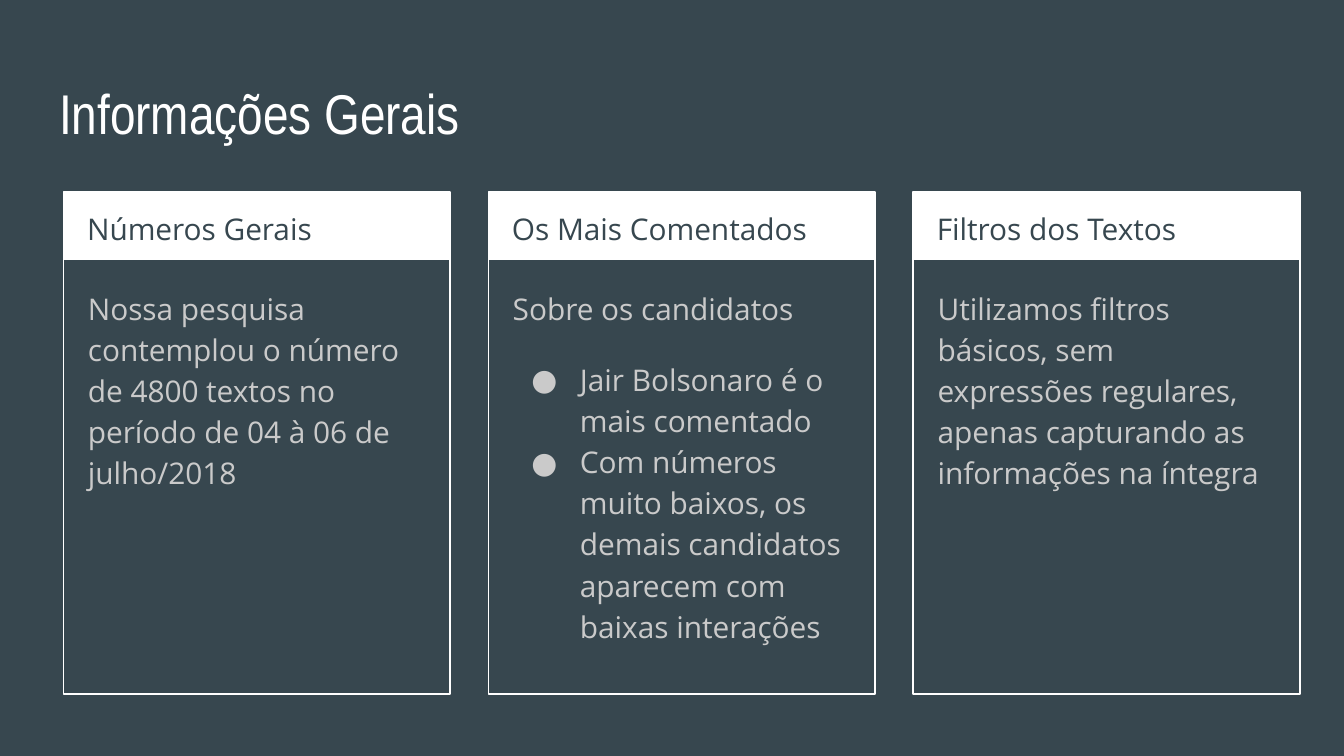
import pptx
import pptx.dml.color
import pptx.enum.shapes
import pptx.enum.text
import pptx.util
from lxml import etree

Pt = pptx.util.Pt
BACKGROUND, WHITE, BODY_GREY = "37474F", "FFFFFF", "CACACA"
CARD_LEFT, CARD_TOP, CARD_PITCH = 34, 102.8, 227.6
CARD_WIDTH, CARD_HEIGHT, HEADER_HEIGHT = 207.2, 269, 36.5

TITLE = {"name": "Arial Narrow", "size": Pt(30)}
CARD_TEXT = {"name": "Open Sans", "size": Pt(16)}
INTRO = {"line_spacing": 1.15, "space_after": Pt(16)}
PLAIN = {"line_spacing": 1.15, "space_after": Pt(0)}

CARDS = [
    ("Números Gerais",
     "Nossa pesquisa contemplou o número de 4800 textos no período de "
     "04 à 06 de julho/2018", []),
    ("Os Mais Comentados", "Sobre os candidatos",
     ["Jair Bolsonaro é o mais comentado",
      "Com números muito baixos, os demais candidatos aparecem com "
      "baixas interações"]),
    ("Filtros dos Textos",
     "Utilizamos filtros básicos, sem expressões regulares, apenas "
     "capturando as informações na íntegra", []),
]


def color(value):
    """Return the colour for a hex string."""
    return pptx.dml.color.RGBColor.from_string(value)


def set_values(target, values):
    """Set every attribute named in a dict."""
    for name, value in values.items():
        setattr(target, name, value)


def add_rectangle(slide, left, top, width, height, fill=None, line=None):
    """Add a rectangle with an optional fill and outline."""
    shape = slide.shapes.add_shape(
        pptx.enum.shapes.MSO_SHAPE.RECTANGLE,
        Pt(left), Pt(top), Pt(width), Pt(height))
    shape.shadow.inherit = False
    if fill:
        shape.fill.solid()
        shape.fill.fore_color.rgb = color(fill)
    else:
        shape.fill.background()
    if line:
        shape.line.color.rgb = color(line)
        shape.line.width = Pt(0.75)
    else:
        shape.line.fill.background()


def add_text_box(slide, left, top, width, height):
    """Add an empty wrapping text box and return its frame."""
    box = slide.shapes.add_textbox(Pt(left), Pt(top), Pt(width), Pt(height))
    frame = box.text_frame
    set_values(frame, {
        "word_wrap": True,
        "vertical_anchor": pptx.enum.text.MSO_ANCHOR.TOP,
        "margin_left": Pt(7.2), "margin_right": Pt(7.2),
        "margin_top": Pt(7.2), "margin_bottom": Pt(7.2)})
    return frame


def write(paragraph, text, font, text_color, spacing):
    """Fill a paragraph with one formatted run."""
    run = paragraph.add_run()
    run.text = text
    set_values(run.font, font)
    run.font.color.rgb = color(text_color)
    set_values(paragraph, spacing)


def add_bullet(paragraph, bullet_color, font_name):
    """Give a paragraph a round bullet and a hanging indent."""
    properties = paragraph._p.get_or_add_pPr()
    properties.set("marL", str(Pt(36)))
    properties.set("indent", str(-Pt(26)))
    namespace = "{http://schemas.openxmlformats.org/drawingml/2006/main}"
    holder = etree.SubElement(properties, namespace + "buClr")
    etree.SubElement(holder, namespace + "srgbClr", val=bullet_color)
    etree.SubElement(properties, namespace + "buFont", typeface=font_name)
    etree.SubElement(properties, namespace + "buChar", char="●")


def add_card(slide, left, heading, intro, bullets):
    """Add an outlined card with a heading band and body text."""
    add_rectangle(slide, left, CARD_TOP, CARD_WIDTH, HEADER_HEIGHT, fill=WHITE)
    add_rectangle(slide, left, CARD_TOP, CARD_WIDTH, CARD_HEIGHT, line=WHITE)
    header = add_text_box(slide, left + 5.6, CARD_TOP, 196.6, 36)
    write(header.paragraphs[0], heading, CARD_TEXT, BACKGROUND, PLAIN)
    body = add_text_box(slide, left + 6, CARD_TOP + 42.8, 195.1, 220.3)
    write(body.paragraphs[0], intro, CARD_TEXT, BODY_GREY, INTRO)
    for text in bullets:
        paragraph = body.add_paragraph()
        write(paragraph, text, CARD_TEXT, BODY_GREY, PLAIN)
        add_bullet(paragraph, BODY_GREY, CARD_TEXT["name"])


def main():
    """Build and save the slide."""
    presentation = pptx.Presentation()
    set_values(presentation, {"slide_width": Pt(720), "slide_height": Pt(405)})
    slide = presentation.slides.add_slide(presentation.slide_layouts[6])
    slide.background.fill.solid()
    slide.background.fill.fore_color.rgb = color(BACKGROUND)
    title = add_text_box(slide, 24.6, 35, 671, 45.4)
    write(title.paragraphs[0], "Informações Gerais", TITLE, WHITE, {})
    for index, card in enumerate(CARDS):
        add_card(slide, CARD_LEFT + index * CARD_PITCH, *card)
    presentation.save("out.pptx")


main()
